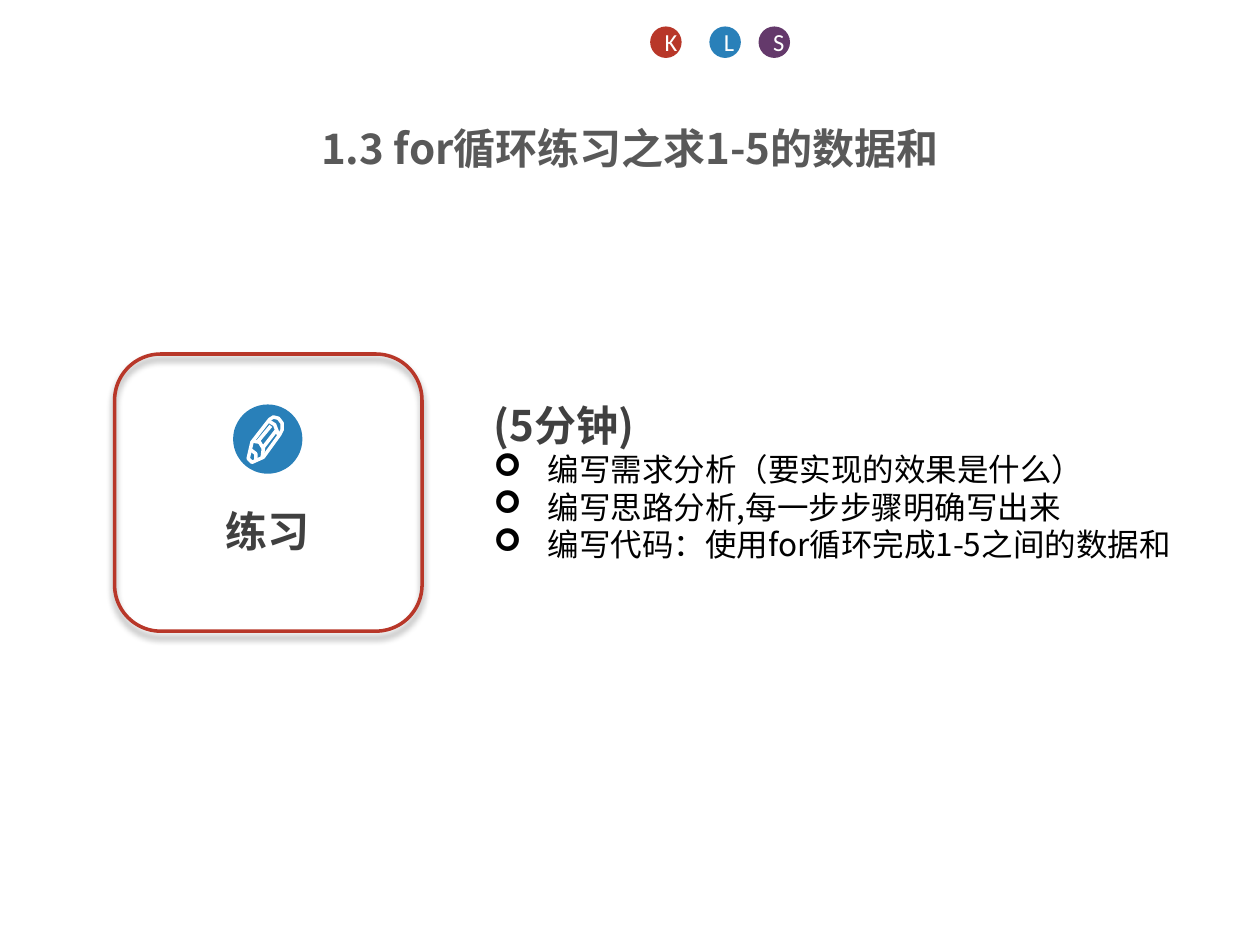
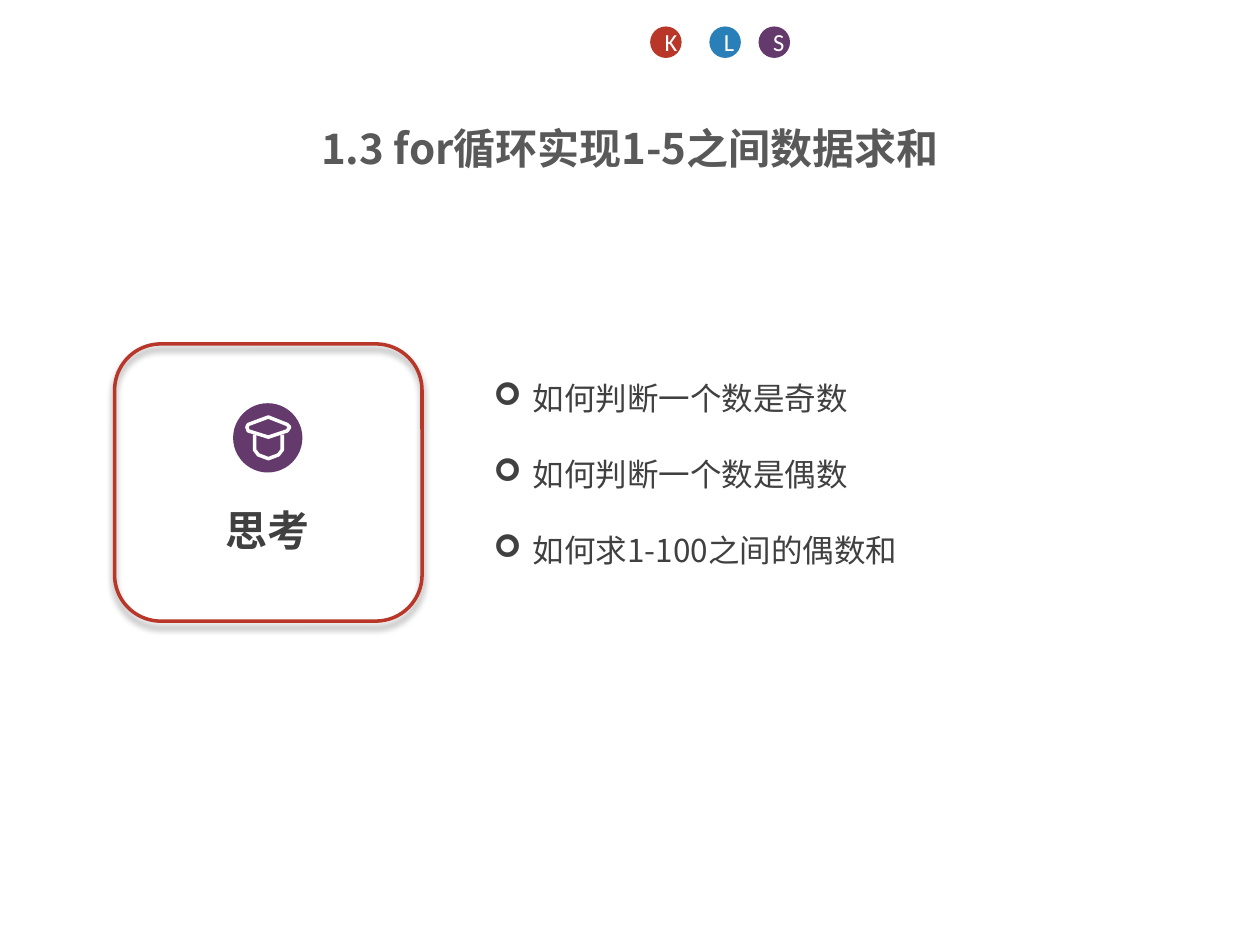
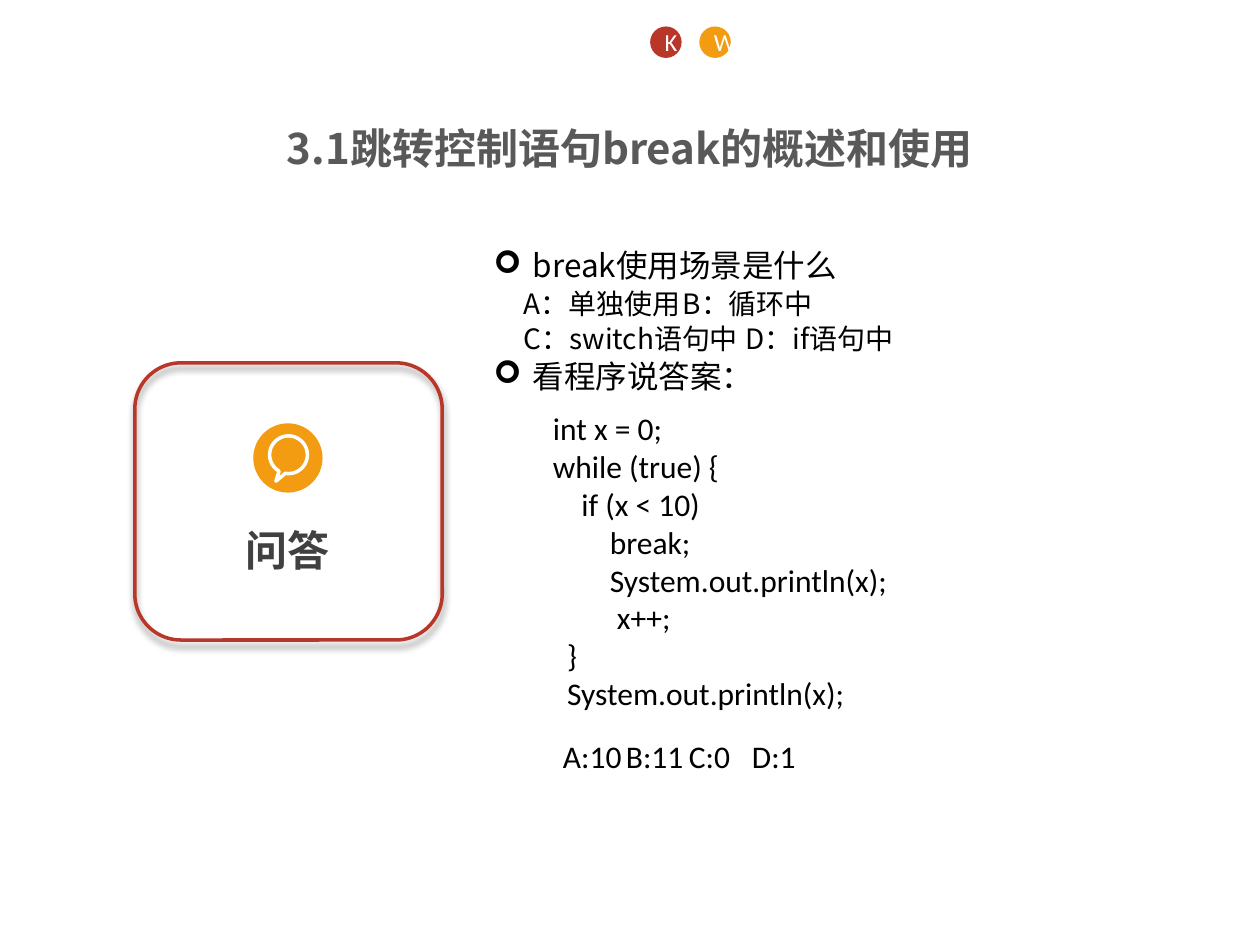
import math

from lxml import etree
from pptx import Presentation
from pptx import util as u
from pptx.dml.color import RGBColor
from pptx.enum import shapes, text
from pptx.oxml import ns

Inches, Pt = u.Inches, u.Pt

# Shared look
RED = RGBColor(0xB8, 0x37, 0x29)
BLUE = RGBColor(0x29, 0x80, 0xB9)
PURPLE = RGBColor(0x64, 0x39, 0x6B)
ORANGE = RGBColor(0xF3, 0x9C, 0x12)
WHITE = RGBColor(0xFF, 0xFF, 0xFF)
BLACK = RGBColor(0, 0, 0)
DARK = RGBColor(0x40, 0x40, 0x40)
GREY = RGBColor(0x59, 0x59, 0x59)
CJK = "Noto Sans CJK SC"
LATIN = "Calibri"
BADGE_COLORS = {"K": RED, "L": BLUE, "S": PURPLE, "W": ORANGE}
BODY_LEFT = 3.82

# Icon strokes in inches from the corner of the disc: (points, closed)
PENCIL = [
    ([(.12, .43), (.15, .3), (.29, .12), (.32, .1), (.36, .11), (.39, .15),
      (.39, .2), (.37, .24), (.24, .42), (.15, .46)], True),
    ([(.28, .13), (.33, .16), (.36, .24)], False),
    ([(.15, .29), (.21, .3), (.24, .35), (.23, .43)], False),
    ([(.2, .29), (.3, .17)], False),
    ([(.24, .34), (.34, .21)], False),
    ([(.14, .36), (.18, .39), (.18, .44)], False),
]
CAP = [
    ([(.12, .17), (.28, .11), (.43, .17), (.45, .19), (.43, .22),
      (.28, .27), (.12, .22), (.11, .19)], True),
    ([(.17, .25), (.17, .37), (.2, .41), (.28, .44), (.36, .41),
      (.39, .37), (.39, .25)], False),
]
BUBBLE_ARC = [(.28 + .15 * math.cos(math.radians(a)),
               .25 + .15 * math.sin(math.radians(a)))
              for a in range(120, 461, 10)]
BUBBLE = [(BUBBLE_ARC + [(.18, .46)], True)]


def add_xml(parent, tag, **attrs):
    return etree.SubElement(parent, ns.qn(tag), attrs)


def set_font(p, size, color, name=CJK, bold=False):
    f = p.font
    f.size, f.bold, f.name = Pt(size), bold, name
    f.color.rgb = color
    add_xml(p._p.pPr.find(ns.qn("a:defRPr")), "a:ea", typeface=name)


def set_layout(p, hang=0, first=0, tabs=()):
    """Hanging arrow bullet, first-line indent and tab stops, in inches."""
    pPr = p._p.get_or_add_pPr()
    pPr.set("marL", str(Inches(hang)))
    pPr.set("indent", str(Inches(first - hang)))
    if hang:
        add_xml(pPr, "a:buFont", typeface="Wingdings")
        add_xml(pPr, "a:buChar", char="➢")
    if tabs:
        tab_list = add_xml(pPr, "a:tabLst")
        for pos in tabs:
            add_xml(tab_list, "a:tab", pos=str(Inches(pos)), algn="l")


def add_text(s, left, top, width, height):
    tf = s.shapes.add_textbox(Inches(left), Inches(top),
                              Inches(width), Inches(height)).text_frame
    tf.word_wrap = True
    return tf


def add_line(tf, words, size, color, name=CJK, bold=False, **layout):
    p = tf.paragraphs[0]
    if p.runs:
        p = tf.add_paragraph()
    p.add_run().text = words
    if layout:
        set_layout(p, **layout)
    set_font(p, size, color, name, bold)
    return p


def add_disc(s, left, top, size, color):
    sp = s.shapes.add_shape(shapes.MSO_SHAPE.OVAL, Inches(left), Inches(top),
                            Inches(size), Inches(size))
    sp.shadow.inherit = False
    sp.fill.solid()
    sp.fill.fore_color.rgb = color
    sp.line.fill.background()
    return sp


def add_badge(s, left, letter):
    tf = add_disc(s, left, 0.21, 0.25, BADGE_COLORS[letter]).text_frame
    p = add_line(tf, letter, 14, WHITE, LATIN)
    p.alignment = text.PP_ALIGN.CENTER


def add_icon(s, left, top, color, strokes):
    add_disc(s, left, top, 0.55, color)
    for points, closed in strokes:
        pts = [(Inches(left + x), Inches(top + y)) for x, y in points]
        fb = s.shapes.build_freeform(*pts[0])
        fb.add_line_segments(pts[1:], close=closed)
        sp = fb.convert_to_shape()
        sp.shadow.inherit = False
        sp.fill.background()
        sp.line.color.rgb = WHITE
        sp.line.width = Pt(2)
        add_xml(sp.line._get_or_add_ln(), "a:round")


def add_card(s, left, top, card_top, label, color, strokes):
    """Framed card; left and top place its icon disc."""
    frame = s.shapes.add_shape(
        shapes.MSO_SHAPE.ROUNDED_RECTANGLE, Inches(left - 0.94),
        Inches(card_top), Inches(2.44), Inches(2.2))
    frame.fill.background()
    frame.line.color.rgb = RED
    frame.line.width = Pt(2)
    effects = add_xml(frame._element.spPr, "a:effectLst")
    shadow = add_xml(effects, "a:outerShdw", blurRad=str(Pt(4)),
                     dist=str(Pt(3)), dir="5400000", rotWithShape="0")
    add_xml(add_xml(shadow, "a:srgbClr", val="000000"), "a:alpha", val="40000")
    add_icon(s, left, top, color, strokes)
    tf = add_text(s, left - 0.16, top + 0.8, 0.87, 0.45)
    add_line(tf, label, 24, DARK, bold=True).line_spacing = 0.9


def add_slide(prs, title, badges):
    s = prs.slides.add_slide(prs.slide_layouts[6])
    for letter, left in badges.items():
        add_badge(s, left, letter)
    p = add_line(add_text(s, 0, 0.92, 10, 0.47), title, 24, GREY, bold=True)
    p.alignment = text.PP_ALIGN.CENTER
    return s


def practice_slide(prs, badges):
    s = add_slide(prs, "1.3 for循环练习之求1-5的数据和", badges)
    add_card(s, 1.85, 3.21, 2.81, "练习", BLUE, PENCIL)
    tf = add_text(s, BODY_LEFT, 3.12, 6.18, 1.72)
    add_line(tf, "(5分钟)", 24, DARK, bold=True)
    for task in ("编写需求分析（要实现的效果是什么）",
                 "编写思路分析,每一步步骤明确写出来",
                 "编写代码：使用for循环完成1-5之间的数据和"):
        add_line(tf, task, 18, BLACK, hang=0.43)


def thinking_slide(prs, badges):
    s = add_slide(prs, "1.3 for循环实现1-5之间数据求和", badges)
    add_card(s, 1.85, 3.2, 2.73, "思考", PURPLE, CAP)
    tf = add_text(s, BODY_LEFT, 2.96, 5.35, 1.62)
    for i, question in enumerate(("如何判断一个数是奇数",
                                  "如何判断一个数是偶数",
                                  "如何求1-100之间的偶数和")):
        p = add_line(tf, question, 18, DARK, hang=0.31)
        p.alignment = text.PP_ALIGN.JUSTIFY
        if i:
            p.space_before = Pt(21.7)


def quiz_slide(prs, badges):
    s = add_slide(prs, "3.1跳转控制语句break的概述和使用", badges)
    add_card(s, 2.01, 3.36, 2.88, "问答", ORANGE, BUBBLE)

    # Questions with their choices
    tf = add_text(s, BODY_LEFT, 1.94, 6.18, 1.63)
    for words, size, layout in (
            ("break使用场景是什么", 18, {"hang": 0.31}),
            ("A：单独使用\tB：循环中", 16, {"first": 0.24, "tabs": [2.14]}),
            ("C：switch语句中\tD：if语句中", 16, {"first": 0.24, "tabs": [2.36]}),
            ("看程序说答案：", 18, {"hang": 0.31})):
        p = add_line(tf, words, size, BLACK, **layout)
        p.line_spacing = 0.9
        p.space_after = Pt(3)

    # Program and answers
    tf = add_text(s, 4.29, 3.2, 3.31, 2.52)
    for code in ("int x = 0;",
                 "while (true) {",
                 "    if (x < 10)",
                 "        break;",
                 "        System.out.println(x);",
                 "         x++;",
                 "  }",
                 "  System.out.println(x);"):
        add_line(tf, code, 18, BLACK, LATIN)
    add_line(add_text(s, 4.37, 5.8, 4.33, 0.4), "A:10\tB:11\tC:0\tD:1",
             18, BLACK, LATIN, tabs=[0.74, 1.43, 1.92])


def main():
    prs = Presentation()
    prs.slide_width, prs.slide_height = Inches(10), Inches(7.5)
    practice_badges = {"K": 5.16, "L": 5.63, "S": 6.02}
    practice_slide(prs, practice_badges)
    thinking_slide(prs, practice_badges)
    quiz_slide(prs, {"K": 5.16, "W": 5.55})
    prs.save("out.pptx")


if __name__ == "__main__":
    main()
